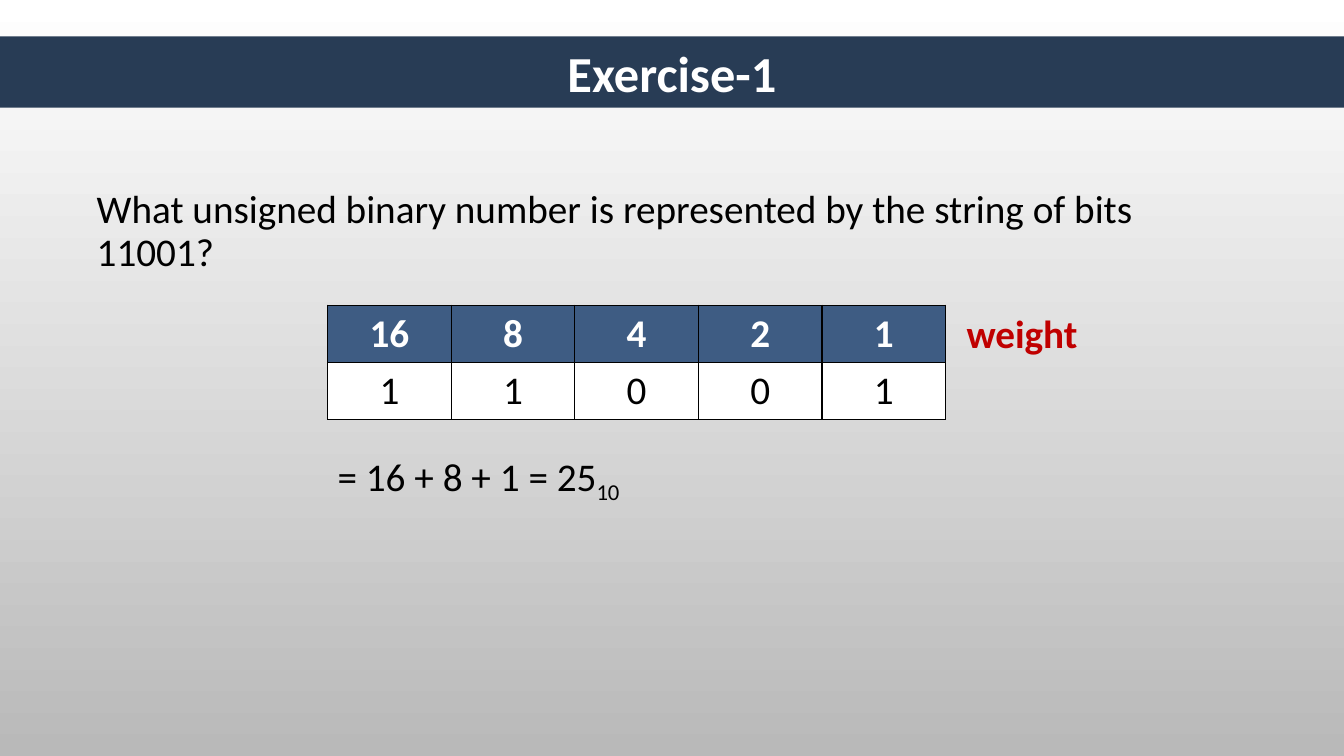
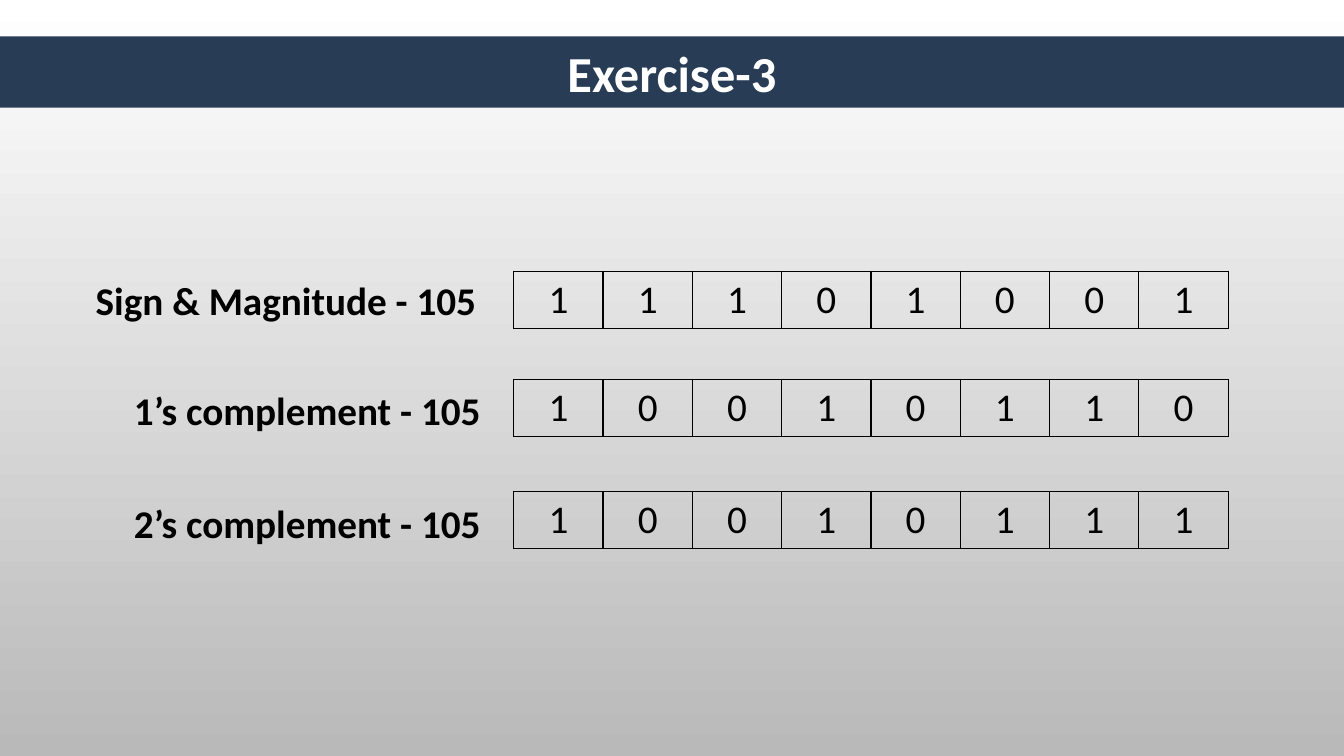
from dataclasses import dataclass

from lxml.etree import SubElement
from pptx import Presentation
from pptx.dml.color import RGBColor
from pptx.enum.shapes import MSO_SHAPE as Shape
from pptx.enum.text import MSO_ANCHOR as Anchor, PP_ALIGN as Align
from pptx.oxml.ns import qn
from pptx.util import Pt


@dataclass(frozen=True)
class Theme:
    font: str = "Calibri"
    title_size: int = 36
    body_size: int = 28
    border_width: int = 1
    top_shade: str = "FFFFFF"
    bottom_shade: str = "B9B9B9"
    band: str = "283C55"
    header: str = "3E5C83"
    white: str = "FFFFFF"
    black: str = "000000"
    accent: str = "C00000"


THEME = Theme()
SLIDE_WIDTH, SLIDE_HEIGHT = 960, 540
ROW_HEIGHT = 40.7


def rgb(color):
    return RGBColor.from_string(color)


def add_run(paragraph, text, size=THEME.body_size, color=THEME.black,
            bold=False, subscript=False):
    run = paragraph.add_run()
    run.text = text
    font = run.font
    font.name, font.size, font.bold = THEME.font, Pt(size), bold
    font.color.rgb = rgb(color)
    if subscript:
        run._r.get_or_add_rPr().set("baseline", "-25000")


def shade_background(master):
    fill = master.background.fill
    fill.gradient()
    fill.gradient_angle = 270
    shades = (THEME.top_shade, THEME.bottom_shade)
    for position, (stop, shade) in enumerate(zip(fill.gradient_stops, shades)):
        stop.position = position
        stop.color.rgb = rgb(shade)


def add_titled_slide(prs, title):
    slide = prs.slides.add_slide(prs.slide_layouts[6])
    band = slide.shapes.add_shape(Shape.RECTANGLE, 0, Pt(26),
                                  Pt(SLIDE_WIDTH), Pt(51))
    band.shadow.inherit = False
    band.fill.solid()
    band.fill.fore_color.rgb = rgb(THEME.band)
    band.line.fill.background()
    band.text_frame.vertical_anchor = Anchor.MIDDLE
    paragraph = band.text_frame.paragraphs[0]
    paragraph.alignment = Align.CENTER
    add_run(paragraph, title, THEME.title_size, THEME.white, bold=True)
    return slide


def add_text(slide, left, top, width, height=41, line_spacing=1.0):
    """Add an empty text box and return its paragraph."""
    box = slide.shapes.add_textbox(Pt(left), Pt(top), Pt(width), Pt(height))
    box.text_frame.word_wrap = True
    paragraph = box.text_frame.paragraphs[0]
    paragraph.line_spacing = line_spacing
    return paragraph


def add_borders(cell):
    properties = cell._tc.get_or_add_tcPr()
    for side in ("lnL", "lnR", "lnT", "lnB"):
        line = SubElement(properties, qn(f"a:{side}"),
                          w=str(Pt(THEME.border_width)))
        fill = SubElement(line, qn("a:solidFill"))
        SubElement(fill, qn("a:srgbClr"), val=THEME.black)


def style_cell(cell, text, fill, color, bold):
    add_borders(cell)
    if fill:
        cell.fill.solid()
        cell.fill.fore_color.rgb = rgb(fill)
    else:
        cell.fill.background()
    cell.vertical_anchor = Anchor.MIDDLE
    paragraph = cell.text_frame.paragraphs[0]
    paragraph.alignment = Align.CENTER
    add_run(paragraph, text, color=color, bold=bold)


def add_bit_table(slide, left, top, column_width, bits, weights=None):
    """Add a row of bits, on white under a header row if weights are given."""
    rows = [(bits, THEME.white if weights else None, THEME.black, False)]
    if weights:
        rows.insert(0, (weights, THEME.header, THEME.white, True))
    table = slide.shapes.add_table(
        len(rows), len(bits), Pt(left), Pt(top),
        Pt(column_width * len(bits)), Pt(ROW_HEIGHT * len(rows))).table
    table.first_row = table.horz_banding = False
    for column in table.columns:
        column.width = Pt(column_width)
    for row, (values, fill, color, bold) in zip(table.rows, rows):
        row.height = Pt(ROW_HEIGHT)
        for cell, value in zip(row.cells, values):
            style_cell(cell, value, fill, color, bold)


def build_unsigned_exercise(prs):
    slide = add_titled_slide(prs, "Exercise-1")
    question = add_text(slide, 62, 132, 835, 68, line_spacing=0.9)
    add_run(question, "What unsigned binary number is represented "
                      "by the string of bits 11001?")
    add_bit_table(slide, 234, 218, 88.3, "11001",
                  weights=("16", "8", "4", "2", "1"))
    weight = add_text(slide, 683.3, 217.6, 95)
    add_run(weight, "weight", color=THEME.accent, bold=True)
    answer = add_text(slide, 234, 319.7, 259, 38, line_spacing=0.9)
    add_run(answer, "= 16 + 8 + 1 = 25")
    add_run(answer, "10", subscript=True)


def build_signed_exercise(prs):
    slide = add_titled_slide(prs, "Exercise-3")
    labels_right = 354.3
    representations = (
        ("Sign & Magnitude - 105", 293, 193.7, "11101001", 193.7),
        ("1’s complement - 105", 265.7, 272.2, "10010110", 271.1),
        ("2’s complement - 105", 265.7, 352.8, "10010111", 351.1),
    )
    for name, label_width, label_top, bits, bits_top in representations:
        label = add_text(slide, labels_right - label_width, label_top,
                         label_width)
        add_run(label, name, bold=True)
        add_bit_table(slide, 367, bits_top, 63.8, bits)


def main():
    prs = Presentation()
    prs.slide_width, prs.slide_height = Pt(SLIDE_WIDTH), Pt(SLIDE_HEIGHT)
    shade_background(prs.slide_master)
    build_unsigned_exercise(prs)
    build_signed_exercise(prs)
    prs.save("out.pptx")


if __name__ == "__main__":
    main()
